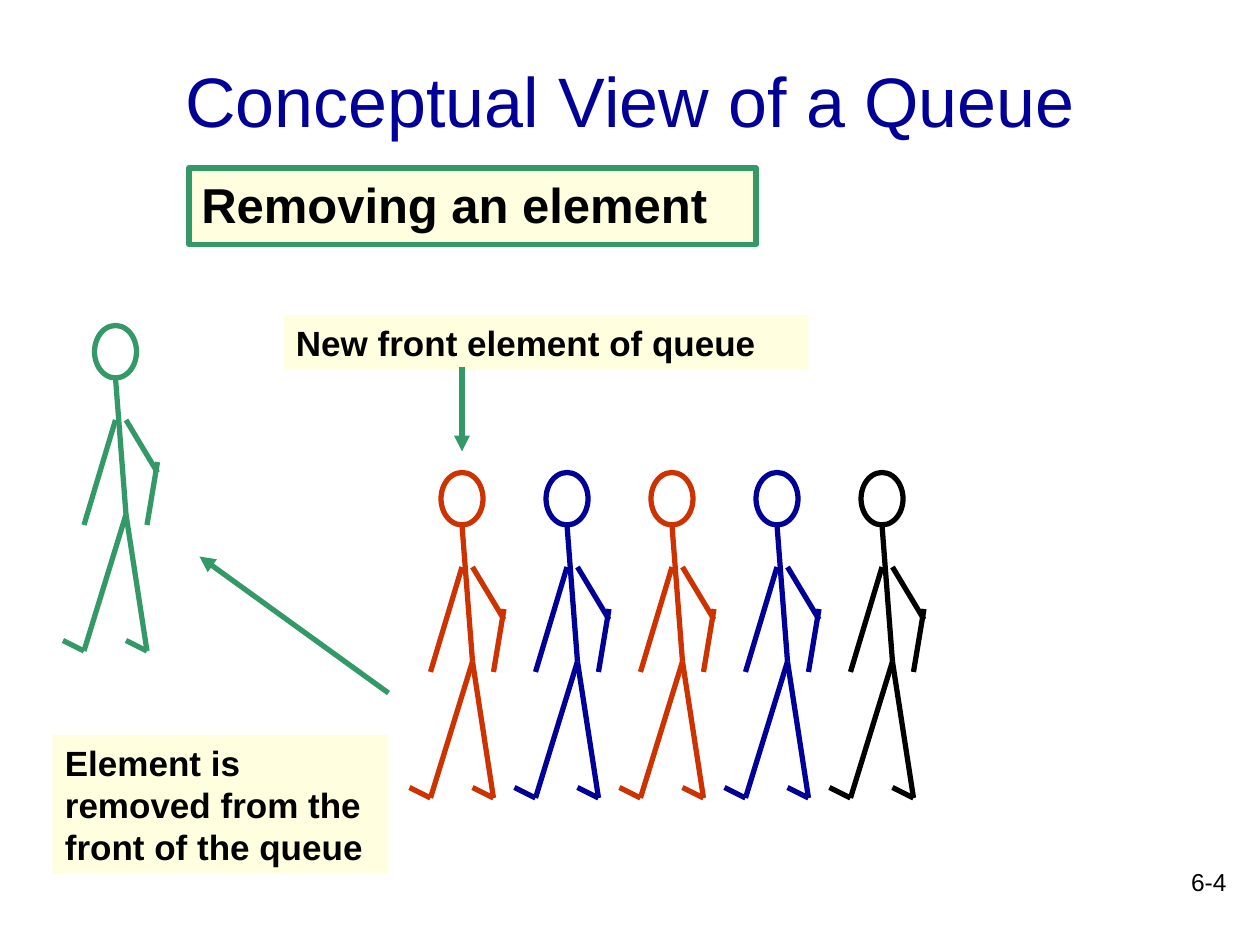
from typing import NamedTuple

from lxml import etree
from pptx import Presentation
from pptx.dml.color import RGBColor
from pptx.enum.shapes import MSO_CONNECTOR, MSO_SHAPE
from pptx.enum.text import MSO_ANCHOR, MSO_AUTO_SIZE, PP_ALIGN
from pptx.oxml.ns import qn
from pptx.util import Inches, Pt

STRAIGHT = MSO_CONNECTOR.STRAIGHT
OVAL, RECTANGLE = MSO_SHAPE.OVAL, MSO_SHAPE.RECTANGLE
LEFT, CENTER, RIGHT = PP_ALIGN.LEFT, PP_ALIGN.CENTER, PP_ALIGN.RIGHT
TOP, MIDDLE = MSO_ANCHOR.TOP, MSO_ANCHOR.MIDDLE
NO_AUTOFIT = MSO_AUTO_SIZE.NONE

BLACK = RGBColor(0x00, 0x00, 0x00)
BLUE = RGBColor(0x00, 0x00, 0x99)
RED = RGBColor(0xCC, 0x33, 0x00)
GREEN = RGBColor(0x33, 0x99, 0x66)
CREAM = RGBColor(0xFF, 0xFF, 0xDF)

FONT = "Arial"
LINE_WIDTH = Pt(3)
CELLS_PER_INCH = 12


class Point(NamedTuple):
    column: float
    row: float


class Area(NamedTuple):
    column: float
    row: float
    columns: float
    rows: float


class Person(NamedTuple):
    column: int
    row: int
    color: RGBColor


class Label(NamedTuple):
    text: str
    area: Area
    size: int
    border: RGBColor | None = None


class Arrow(NamedTuple):
    start: Point
    end: Point


# Stick figure, in cells from its top left corner
HEAD = Area(3, 0, 4, 5)
NECK, HIP = Point(5, 5), Point(6, 18)
BACK_HEEL, FRONT_HEEL = Point(2, 31), Point(8, 31)
LIMBS = [
    (NECK, HIP),
    (HIP, BACK_HEEL),
    (HIP, FRONT_HEEL),
    (BACK_HEEL, Point(0, 30)),
    (FRONT_HEEL, Point(6, 30)),
    (Point(5, 9), Point(2, 19)),
    (Point(6, 9), Point(9, 14)),
    (Point(9, 13), Point(8, 19)),
]

QUEUE_START, QUEUE_STEP = Point(39, 45), 10
QUEUE_COLORS = [RED, BLUE, RED, BLUE, BLACK]
REMOVED_PERSON = Person(6, 31, GREEN)

TITLE_AREA = Area(9, 2, 102, 15)
PAGE_NUMBER_AREA = Area(93, 82, 25, 6)
LABELS = [
    Label("Removing an element", Area(18, 16, 54, 7.3), 28, GREEN),
    Label("New front element of queue", Area(27, 30, 50, 5.2), 20),
    Label("Element is removed from the front of the queue",
          Area(5, 70, 32, 13.2), 20),
]
ARROWS = [
    Arrow(Point(37, 66), Point(19, 53)),
    Arrow(Point(44, 35), Point(44, 43)),
]


def cells(*counts: float) -> list[int]:
    """Convert grid cells to lengths."""
    return [Inches(count / CELLS_PER_INCH) for count in counts]


def write_text(shape, text: str, *, size: int, color: RGBColor = BLACK,
               bold: bool = False, align=LEFT, anchor=TOP) -> None:
    frame = shape.text_frame
    frame.word_wrap = True
    frame.auto_size = NO_AUTOFIT
    frame.vertical_anchor = anchor
    para = frame.paragraphs[0]
    para.alignment = align
    span = para.add_run()
    span.text = text
    span.font.name = FONT
    span.font.size = Pt(size)
    span.font.bold = bold
    span.font.color.rgb = color


def draw_line(slide, start: Point, end: Point, color: RGBColor,
              arrowhead: bool = False) -> None:
    line = slide.shapes.add_connector(STRAIGHT, *cells(*start, *end))
    line.line.color.rgb = color
    line.line.width = LINE_WIDTH
    if arrowhead:
        outline = line.line._get_or_add_ln()
        etree.SubElement(outline, qn("a:tailEnd"), type="triangle")
    etree.SubElement(line._element.spPr, qn("a:effectLst"))


def draw_shape(slide, kind, area: Area, *, fill: RGBColor | None = None,
               border: RGBColor | None = None):
    shape = slide.shapes.add_shape(kind, *cells(*area))
    shape.shadow.inherit = False
    if fill is None:
        shape.fill.background()
    else:
        shape.fill.solid()
        shape.fill.fore_color.rgb = fill
    if border is None:
        shape.line.fill.background()
    else:
        shape.line.color.rgb = border
        shape.line.width = LINE_WIDTH
    return shape


def draw_person(slide, person: Person) -> None:
    def shifted(point: Point) -> Point:
        return Point(person.column + point.column, person.row + point.row)

    head = Area(*shifted(Point(HEAD.column, HEAD.row)),
                HEAD.columns, HEAD.rows)
    draw_shape(slide, OVAL, head, border=person.color)
    for start, end in LIMBS:
        draw_line(slide, shifted(start), shifted(end), person.color)


def draw_label(slide, label: Label) -> None:
    box = draw_shape(slide, RECTANGLE, label.area, fill=CREAM,
                     border=label.border)
    write_text(box, label.text, size=label.size, bold=True)


def main() -> None:
    deck = Presentation()
    deck.slide_width, deck.slide_height = Inches(10), Inches(7.5)
    slide = deck.slides.add_slide(deck.slide_layouts.get_by_name("Title Only"))

    title = slide.shapes.title
    title.left, title.top, title.width, title.height = cells(*TITLE_AREA)
    write_text(title, "Conceptual View of a Queue", size=40, color=BLUE,
               align=CENTER, anchor=MIDDLE)

    page_number = slide.shapes.add_textbox(*cells(*PAGE_NUMBER_AREA))
    write_text(page_number, "6-4", size=14, align=RIGHT)

    for place, color in enumerate(QUEUE_COLORS):
        column = QUEUE_START.column + place * QUEUE_STEP
        draw_person(slide, Person(column, QUEUE_START.row, color))
    draw_person(slide, REMOVED_PERSON)

    for label in LABELS:
        draw_label(slide, label)
    for arrow in ARROWS:
        draw_line(slide, arrow.start, arrow.end, GREEN, arrowhead=True)

    deck.save("out.pptx")


if __name__ == "__main__":
    main()
